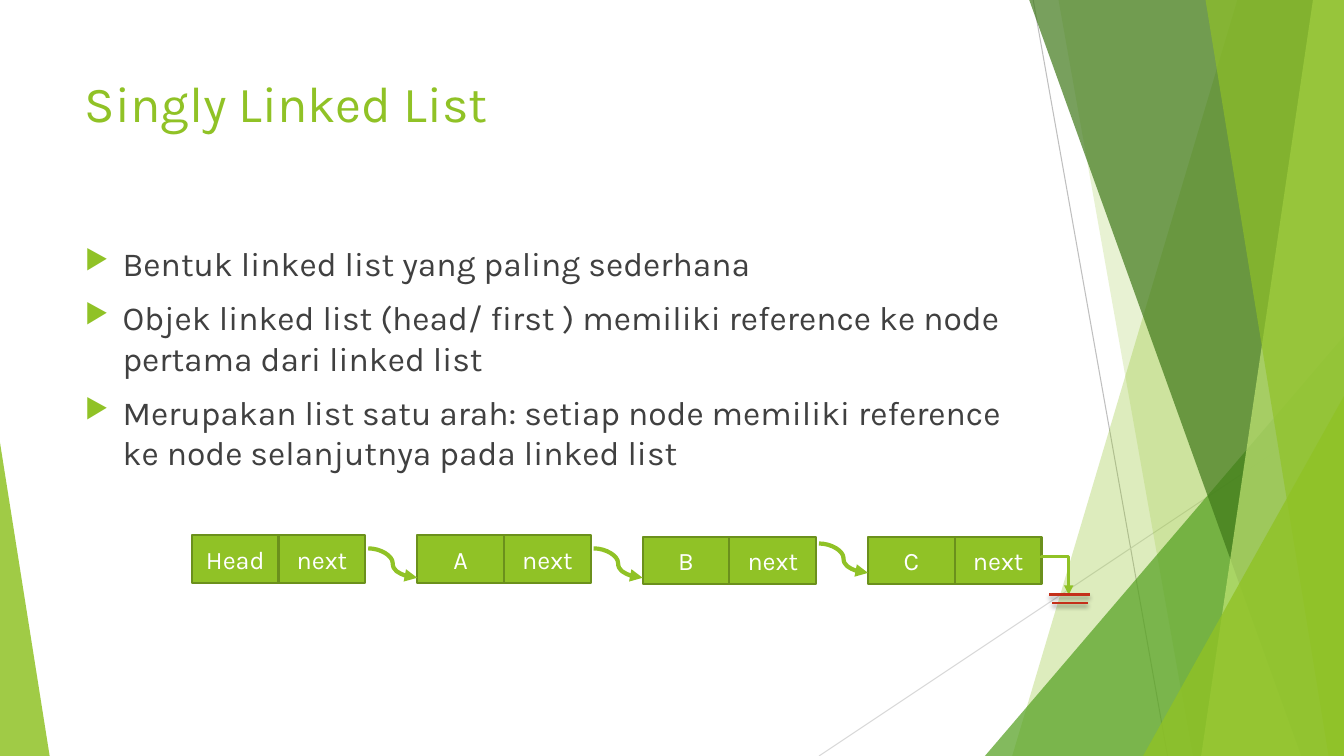
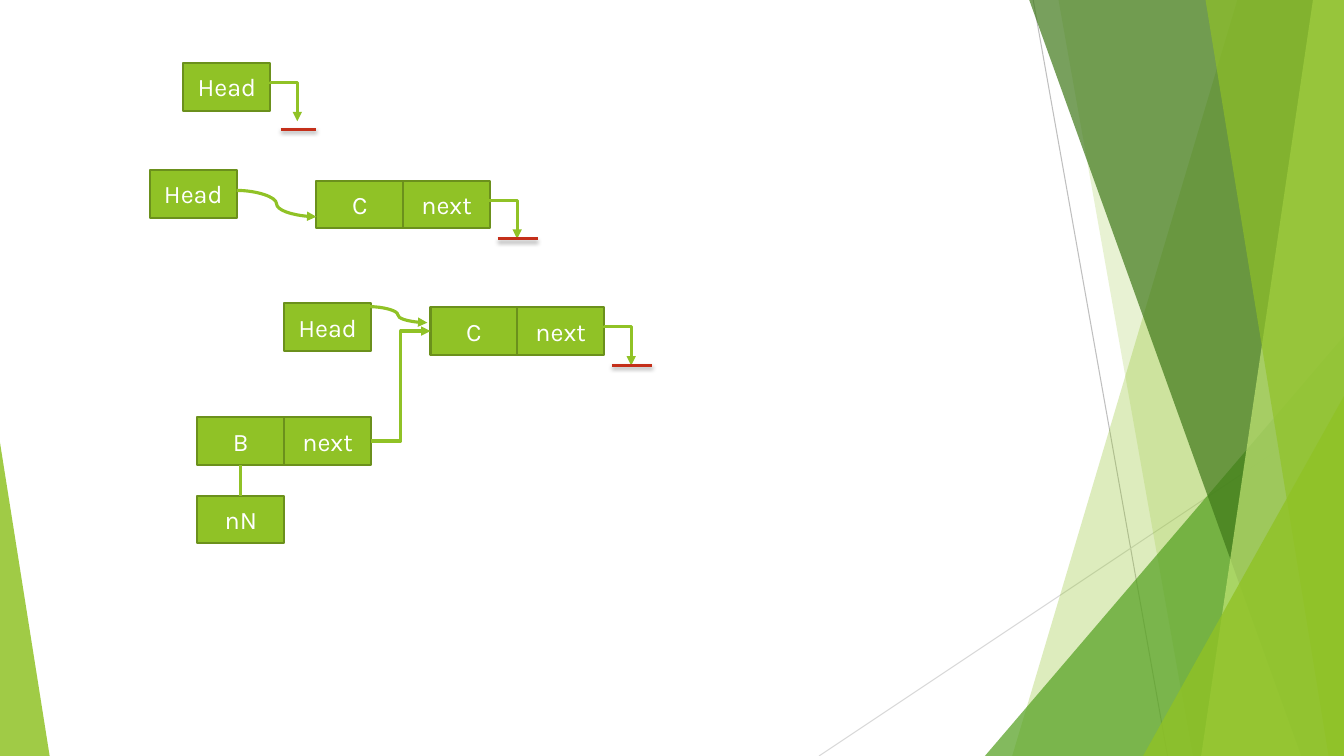
from lxml.etree import SubElement
from pptx import Presentation
from pptx.dml.color import RGBColor as Rgb
from pptx.enum.shapes import MSO_CONNECTOR as Wire, MSO_SHAPE as Form
from pptx.enum.text import MSO_ANCHOR as Anchor, PP_ALIGN as Align
from pptx.oxml.ns import qn
from pptx.util import Pt

WIDE, HIGH = 960, 540
BOX_W, BOX_H = 62, 34
HUES = {
    "lime": "90C226", "green": "54A021", "dark": "3F7819", "pale": "C0E474",
    "edge": "6B901C", "red": "C42F1A", "ink": "404040", "white": "FFFFFF",
    "gray": "BFBFBF", "mist": "D9D9D9", "black": "000000",
}
FONTS = {
    "title": {"size": Pt(36), "name": "Karla"},
    "body": {"size": Pt(24), "name": "Karla"},
    "node": {"size": Pt(18), "name": "Karla"},
}
# Bars of the null sign: left, right and drop from the arrow's tip
BARS = {"wide": (5.5, 34.5, 0), "slim": (7.5, 33, 5.8)}


def rgb(hue):
    return Rgb.from_string(HUES[hue])


def put(thing, values):
    for key, value in values.items():
        setattr(thing, key, value)


def add(parent, tag, **attrs):
    return SubElement(parent, qn(tag), attrs)


class Deck:
    """Holds the style and the current slide."""

    def __init__(self):
        self.prs = Presentation()
        put(self.prs, {"slide_width": Pt(WIDE), "slide_height": Pt(HIGH)})
        self.items = None

    def page(self):
        blank = self.prs.slide_layouts[6]
        self.items = self.prs.slides.add_slide(blank).shapes
        self.line(738, 0, 834, HIGH, "gray", 0.75)
        self.line(WIDE, 290, 585, HIGH, "mist", 0.75)
        self.shard("lime", 30, 884, 723)
        self.shard("lime", 20, 756, 852)
        self.wedge("green", 72, 703.5, 240, 256.5, 1)
        self.shard("dark", 70, 735, 929.5)
        self.shard("pale", 70, 938, 858)
        self.shard("lime", 65, 861, 949)
        self.wedge("lime", 80, 816.5, 283, 143.5, 1)
        self.wedge("lime", 85, 0, 316, 35.5, 0)

    def tint(self, shape, hue, alpha):
        shape.shadow.inherit = False
        shape.fill.solid()
        shape.fill.fore_color.rgb = rgb(hue)
        shape.line.fill.background()
        color = shape._element.spPr.find(qn("a:solidFill"))[0]
        add(color, "a:alpha", val=str(alpha * 1000))

    def shard(self, hue, alpha, top, base):
        """Draws a full-height band from a slanted left edge to the slide's right."""
        pen = self.items.build_freeform(Pt(top), Pt(-0.6))
        pen.add_line_segments([(Pt(WIDE), Pt(-0.6)), (Pt(WIDE), Pt(HIGH)),
                               (Pt(base), Pt(HIGH))], close=True)
        self.tint(pen.convert_to_shape(), hue, alpha)

    def wedge(self, hue, alpha, x, y, w, apex):
        """Draws a triangle that stands on the slide's lower edge."""
        shape = self.items.add_shape(Form.ISOSCELES_TRIANGLE,
                                     Pt(x), Pt(y), Pt(w), Pt(HIGH - y))
        shape.adjustments[0] = apex
        self.tint(shape, hue, alpha)

    def line(self, x1, y1, x2, y2, hue="lime", size=2.25,
             kind=Wire.STRAIGHT, arrow=False, shade=False):
        link = self.items.add_connector(kind, Pt(x1), Pt(y1), Pt(x2), Pt(y2))
        link.line.color.rgb = rgb(hue)
        link.line.width = Pt(size)
        props = link._element.spPr
        if arrow:
            add(props.find(qn("a:ln")), "a:tailEnd", type="triangle")
        effects = add(props, "a:effectLst")
        if shade:
            cast = add(effects, "a:outerShdw", blurRad=str(Pt(3)),
                       dist=str(Pt(2)), dir="5400000", rotWithShape="0")
            color = add(cast, "a:srgbClr", val=HUES["black"])
            add(color, "a:alpha", val="35000")
        return link

    def curve(self, x1, y1, x2, y2, size=2.25):
        self.line(x1, y1, x2, y2, size=size, kind=Wire.CURVE, arrow=True)

    def join(self, first, out, last, into, **style):
        """Links a side of one box to a side of another."""
        link = self.line(0, 0, 0, 0, **style)
        link.begin_connect(first, out)
        link.end_connect(last, into)

    def null(self, box, *bars):
        """Draws an arrow that turns down from a box to the null sign."""
        x, y = (box.left + box.width) / Pt(1), box.top / Pt(1) + 15
        dx, dy = 19.4, 26.6
        left, top = x + (dx - dy) / 2, y + (dy - dx) / 2
        link = self.line(left, top, left + dy, top + dx,
                         kind=Wire.ELBOW, arrow=True)
        props = link._element.spPr
        frame = props.find(qn("a:xfrm"))
        frame.set("rot", "16200000")
        frame.set("flipH", "1")
        add(props.find(qn("a:prstGeom")).find(qn("a:avLst")), "a:gd",
            name="adj1", fmla="val -3700")
        for bar in bars:
            start, end, drop = BARS[bar]
            level = y + dy + drop
            self.line(x + start, level, x + end, level, "red", 2, shade=True)

    def label(self, para, text, role, hue):
        run = para.add_run()
        run.text = text
        put(run.font, FONTS[role])
        run.font.color.rgb = rgb(hue)

    def frame(self, y, h):
        frame = self.items.add_textbox(Pt(53.5), Pt(y), Pt(677), Pt(h)).text_frame
        put(frame, {"word_wrap": True, "vertical_anchor": Anchor.TOP})
        return frame

    def title(self, text):
        self.label(self.frame(48, 104).paragraphs[0], text, "title", "lime")

    def body(self, *texts):
        frame = self.frame(170, 305)
        for i, text in enumerate(texts):
            para = frame.add_paragraph() if i else frame.paragraphs[0]
            para.space_before = Pt(10)
            props = para._p.get_or_add_pPr()
            props.set("marL", str(Pt(27)))
            props.set("indent", str(Pt(-27)))
            add(add(props, "a:buClr"), "a:srgbClr", val=HUES["lime"])
            add(props, "a:buSzPct", val="80000")
            add(props, "a:buChar", char="▶")
            self.label(para, text, "body", "ink")

    def box(self, x, y, text):
        shape = self.items.add_shape(Form.RECTANGLE, Pt(x), Pt(y),
                                     Pt(BOX_W), Pt(BOX_H))
        shape.shadow.inherit = False
        shape.fill.solid()
        shape.fill.fore_color.rgb = rgb("lime")
        shape.line.color.rgb = rgb("edge")
        shape.line.width = Pt(1.5)
        shape.text_frame.vertical_anchor = Anchor.MIDDLE
        para = shape.text_frame.paragraphs[0]
        para.alignment = Align.CENTER
        self.label(para, text, "node", "white")
        return shape

    def node(self, x, y, text):
        """Draws a value box and its next box, and returns both."""
        return self.box(x, y, text), self.box(x + BOX_W, y, "next")


def intro(deck):
    deck.page()
    deck.title("Singly Linked List")
    deck.body(
        "Bentuk linked list yang paling sederhana",
        "Objek linked list (head/ first ) memiliki reference ke node "
        "pertama dari linked list",
        "Merupakan list satu arah: setiap node memiliki reference ke node "
        "selanjutnya pada linked list",
    )
    left, step = 137, 161
    tops = (382.3, 382.3, 383.3, 383.3)
    for i, (text, top) in enumerate(zip(("Head", "A", "B", "C"), tops)):
        last = deck.node(left + i * step, top, text)[1]
    for i, y in enumerate((391.7, 391.7, 388.2)):
        x = left + i * step
        deck.curve(x + 2 * BOX_W + 2, y, x + step, y + 21, 3)
    deck.null(last, "wide", "slim")


def steps(deck):
    deck.page()
    deck.null(deck.box(131, 45, "Head"), "slim")

    deck.box(107, 121.5, "Head")
    deck.null(deck.node(226, 129, "C")[1], "wide")
    deck.curve(169, 136, 226, 154.8)

    deck.box(203, 216.5, "Head")
    old, tail = deck.node(307.5, 219.5, "C")
    deck.null(tail, "wide")
    deck.curve(263, 219, 305.3, 230.5)

    new, link = deck.node(141, 298, "B")
    name = deck.box(141, 354, "nN")
    deck.join(name, 0, new, 2)
    deck.join(link, 3, old, 1, kind=Wire.ELBOW, arrow=True)


def main():
    deck = Deck()
    intro(deck)
    steps(deck)
    deck.prs.save("out.pptx")


if __name__ == "__main__":
    main()
